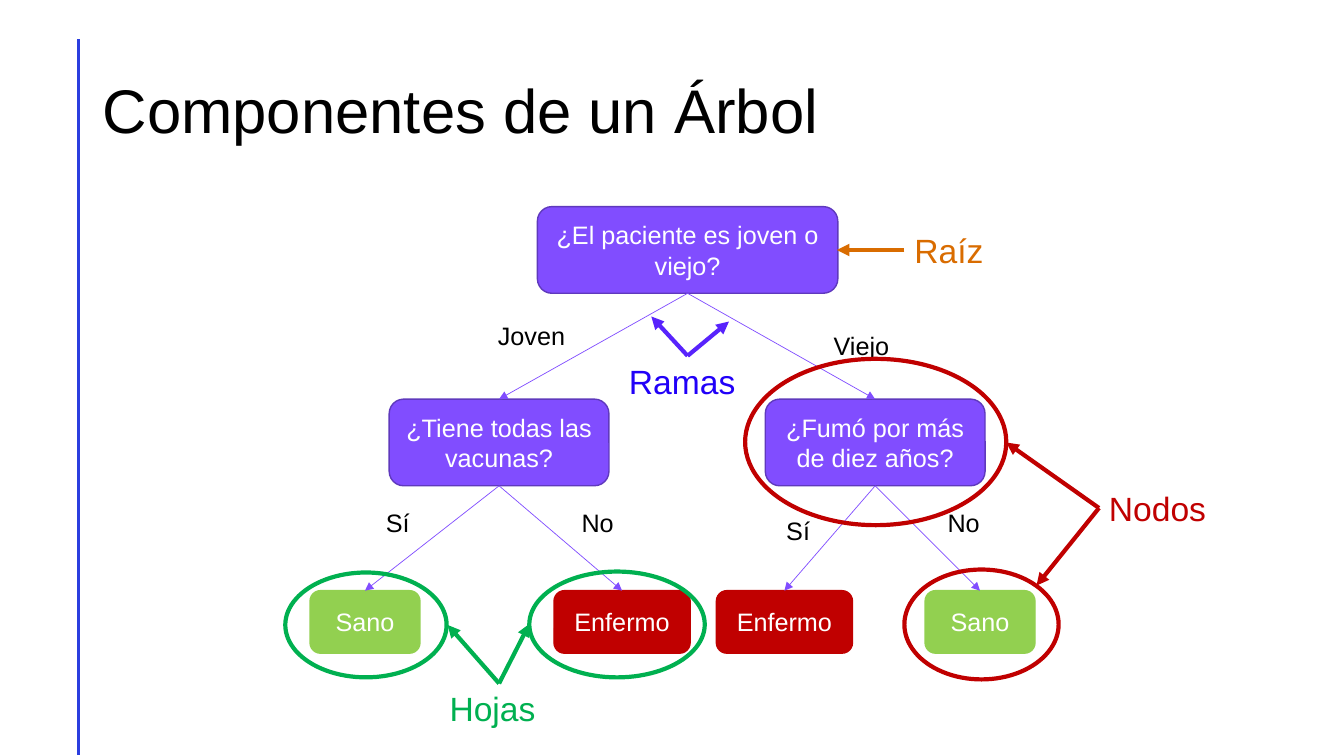
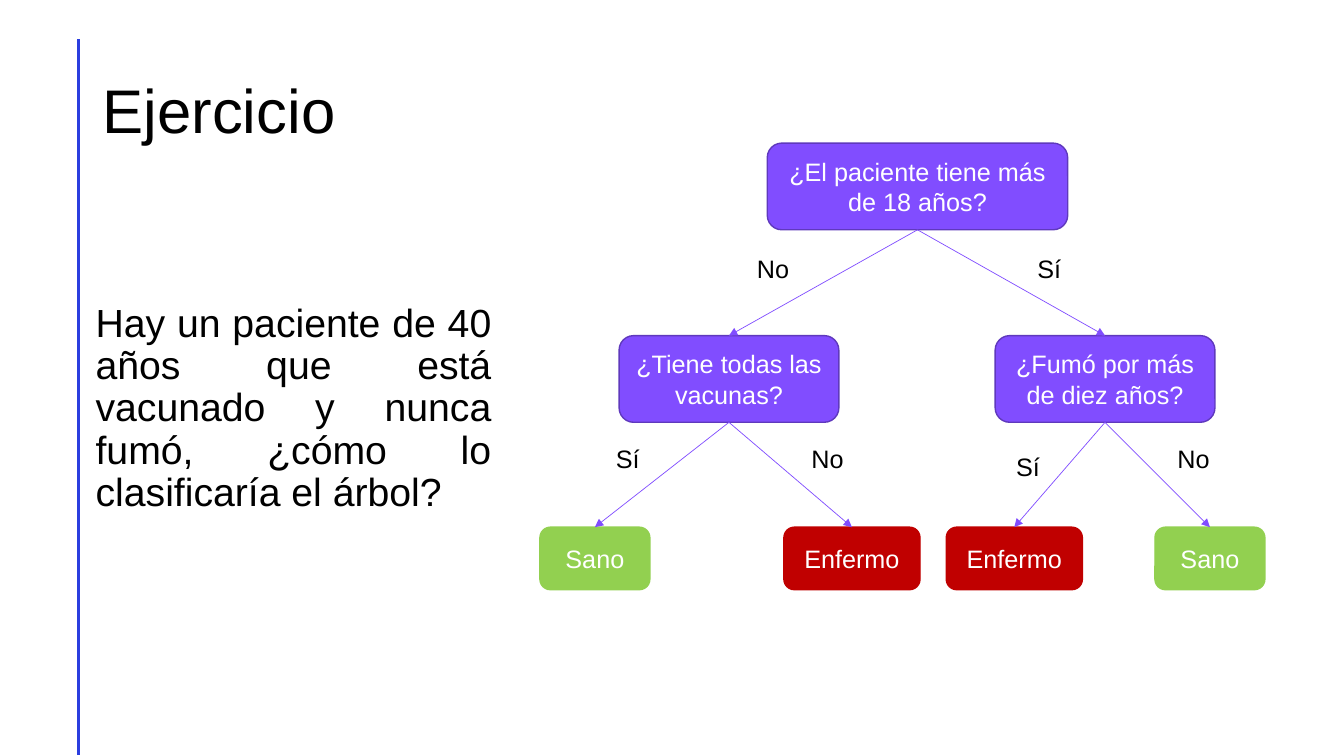
"""Builds two slides about the parts and the use of a decision tree."""
import pptx
import pptx.dml.color
import pptx.enum.shapes
import pptx.enum.text
import pptx.oxml
import pptx.oxml.ns
import pptx.util

Inches = pptx.util.Inches
SHAPE = pptx.enum.shapes.MSO_SHAPE
ALIGN = pptx.enum.text.PP_ALIGN
ANCHOR = pptx.enum.text.MSO_ANCHOR

FONT = "Arial"
BLACK, WHITE = "000000", "FFFFFF"
BAR = "2B3EDF"
PURPLE, PURPLE_EDGE = "814DFF", "5F39BD"
GREEN, RED = "92D050", "C00000"
LEAF_MARK, ROOT_MARK = "00B050", "D96C00"
BRANCH_TEXT, BRANCH_MARK = "2100F8", "5823FC"

QUESTION_HEIGHT, LEAF_HEIGHT = 0.86, 0.62
QUESTION_TOP, LEAF_TOP = 1.91, 3.81
HEALTHY = ("Sano", 1.09, GREEN)
SICK = ("Enfermo", 1.35, RED)
BRANCHES = [
    ("¿Tiene todas las vacunas?", -1.87, [(HEALTHY, -3.2), (SICK, -0.65)]),
    ("¿Fumó por más de diez años?", 1.86, [(SICK, 0.96), (HEALTHY, 2.9)]),
]
ANSWERS = [("Sí", -3.09, 2.93), ("No", -1.15, 2.93), ("Sí", 0.88, 3.01), ("No", 2.48, 2.93)]
LABEL_WIDTHS = {"Sí": 0.53, "No": 0.73}


def colour(value):
    """Turn a hex string into a colour."""
    return pptx.dml.color.RGBColor.from_string(value)


def write(shape, text, size, ink, align=ALIGN.LEFT, anchor=ANCHOR.TOP):
    """Put one paragraph of text into a shape and return it."""
    frame = shape.text_frame
    frame.word_wrap = True
    frame.vertical_anchor = anchor
    para = frame.paragraphs[0]
    para.alignment = align
    span = para.add_run()
    span.text = text
    span.font.name = FONT
    span.font.size = pptx.util.Pt(size)
    span.font.color.rgb = colour(ink)
    return para


def add_text(page, text, left, top, width, height, size, ink=BLACK, **style):
    """Add a text box and return its paragraph."""
    box = page.shapes.add_textbox(Inches(left), Inches(top), Inches(width), Inches(height))
    return write(box, text, size, ink, **style)


def add_line(page, start, end, ink, weight, arrow=True):
    """Add a straight line, with an arrowhead at its end if wanted."""
    ends = [Inches(value) for value in (*start, *end)]
    line = page.shapes.add_connector(pptx.enum.shapes.MSO_CONNECTOR.STRAIGHT, *ends)
    line.line.color.rgb = colour(ink)
    line.line.width = pptx.util.Pt(weight)
    properties = line._element.spPr
    if arrow:
        head = pptx.oxml.parse_xml(f'<a:tailEnd {pptx.oxml.ns.nsdecls("a")} type="triangle"/>')
        properties.find(pptx.oxml.ns.qn("a:ln")).append(head)
    properties.append(pptx.oxml.parse_xml(f'<a:effectLst {pptx.oxml.ns.nsdecls("a")}/>'))
    return line


def add_outline(page, kind, left, top, width, height, ink, weight, fill=None):
    """Add a preset shape with an outline and an optional fill."""
    shape = page.shapes.add_shape(kind, Inches(left), Inches(top), Inches(width), Inches(height))
    shape.shadow.inherit = False
    if fill:
        shape.fill.solid()
        shape.fill.fore_color.rgb = colour(fill)
    else:
        shape.fill.background()
    shape.line.color.rgb = colour(ink)
    shape.line.width = pptx.util.Pt(weight)
    return shape


def add_node(page, text, middle, top, width, height, fill=PURPLE, edge=PURPLE_EDGE):
    """Add a rounded tree node centred on the given middle."""
    node = add_outline(page, SHAPE.ROUNDED_RECTANGLE, middle - width / 2, top, width, height,
                       edge, 1, fill)
    write(node, text, 18, WHITE, ALIGN.CENTER, ANCHOR.MIDDLE)
    return node


def add_branch(page, parent, child):
    """Join the bottom of a parent node to the top of its child."""
    branch = add_line(page, (0, 0), (1, 1), PURPLE, 0.5)
    branch.begin_connect(parent, 2)
    branch.end_connect(child, 0)


def add_tree(page, middle, top, question, root_answers):
    """Add the decision tree with the root's top centre at the given point."""
    root = add_node(page, question, middle, top, 2.98, QUESTION_HEIGHT)
    for text, shift, leaves in BRANCHES:
        node = add_node(page, text, middle + shift, top + QUESTION_TOP, 2.18, QUESTION_HEIGHT)
        add_branch(page, root, node)
        for (result, width, fill), leaf_shift in leaves:
            leaf = add_node(page, result, middle + leaf_shift, top + LEAF_TOP, width,
                            LEAF_HEIGHT, fill, fill)
            add_branch(page, node, leaf)
    for text, right, down in root_answers + ANSWERS:
        add_text(page, text, middle + right, top + down, LABEL_WIDTHS.get(text, 1.03), 0.4, 18)


def add_callout(page, text, place, ink, start, targets, mark):
    """Add a coloured name with arrows to the parts that it names."""
    add_text(page, text, *place, 0.5, 24, ink)
    for target in targets:
        add_line(page, start, target, mark, 3)


def add_page(deck, title):
    """Add a blank slide with the side bar and its title."""
    page = deck.slides.add_slide(deck.slide_layouts[6])
    add_line(page, (0.78, 0.39), (0.78, 7.49), BAR, 2, arrow=False)
    para = add_text(page, title, 0.92, 0.4, 11.5, 1.45, 44, anchor=ANCHOR.MIDDLE)
    para.line_spacing = 0.9
    return page


def add_components_page(deck):
    """Add the slide that names the parts of a tree."""
    page = add_page(deck, "Componentes de un Árbol")
    add_tree(page, 6.82, 2.05, "¿El paciente es joven o viejo?",
             [("Joven", -1.98, 1.08), ("Viejo", 1.35, 1.18)])
    for ink, *place in [
        (RED, 7.39, 3.56, 2.59, 1.65),
        (RED, 8.97, 5.65, 1.53, 1.09),
        (LEAF_MARK, 2.83, 5.68, 1.6, 1.04),
        (LEAF_MARK, 5.25, 5.67, 1.74, 1.05),
    ]:
        add_outline(page, SHAPE.OVAL, *place, ink, 3)
    for callout in [
        ("Raíz", (8.97, 2.23, 1.06), ROOT_MARK, (8.97, 2.48), [(8.3, 2.48)], ROOT_MARK),
        ("Nodos", (10.9, 4.79, 1.34), RED, (10.9, 5.04), [(9.98, 4.39), (10.28, 5.81)], RED),
        ("Ramas", (6.14, 3.53, 1.36), BRANCH_TEXT, (6.82, 3.53),
         [(7.23, 3.19), (6.46, 3.14)], BRANCH_MARK),
        ("Hojas", (4.36, 6.78, 1.18), LEAF_MARK, (4.95, 6.78),
         [(5.25, 6.19), (4.44, 6.2)], LEAF_MARK),
    ]:
        add_callout(page, *callout)


def add_exercise_page(deck):
    """Add the slide that asks the reader to classify a patient."""
    page = add_page(deck, "Ejercicio")
    para = add_text(page, "Hay un paciente de 40 años que está vacunado y nunca fumó, "
                    "¿cómo lo clasificaría el árbol?", 0.85, 2.96, 4.12, 2.27, 28,
                    align=ALIGN.JUSTIFY)
    para.line_spacing = 0.9
    para.space_before = pptx.util.Pt(10)
    add_tree(page, 9.1, 1.42, "¿El paciente tiene más de 18 años?",
             [("No", -1.69, 1.04), ("Sí", 1.09, 1.04)])


def main():
    """Build and save the deck."""
    deck = pptx.Presentation()
    deck.slide_width, deck.slide_height = Inches(13.33), Inches(7.5)
    add_components_page(deck)
    add_exercise_page(deck)
    deck.save("out.pptx")


if __name__ == "__main__":
    main()
